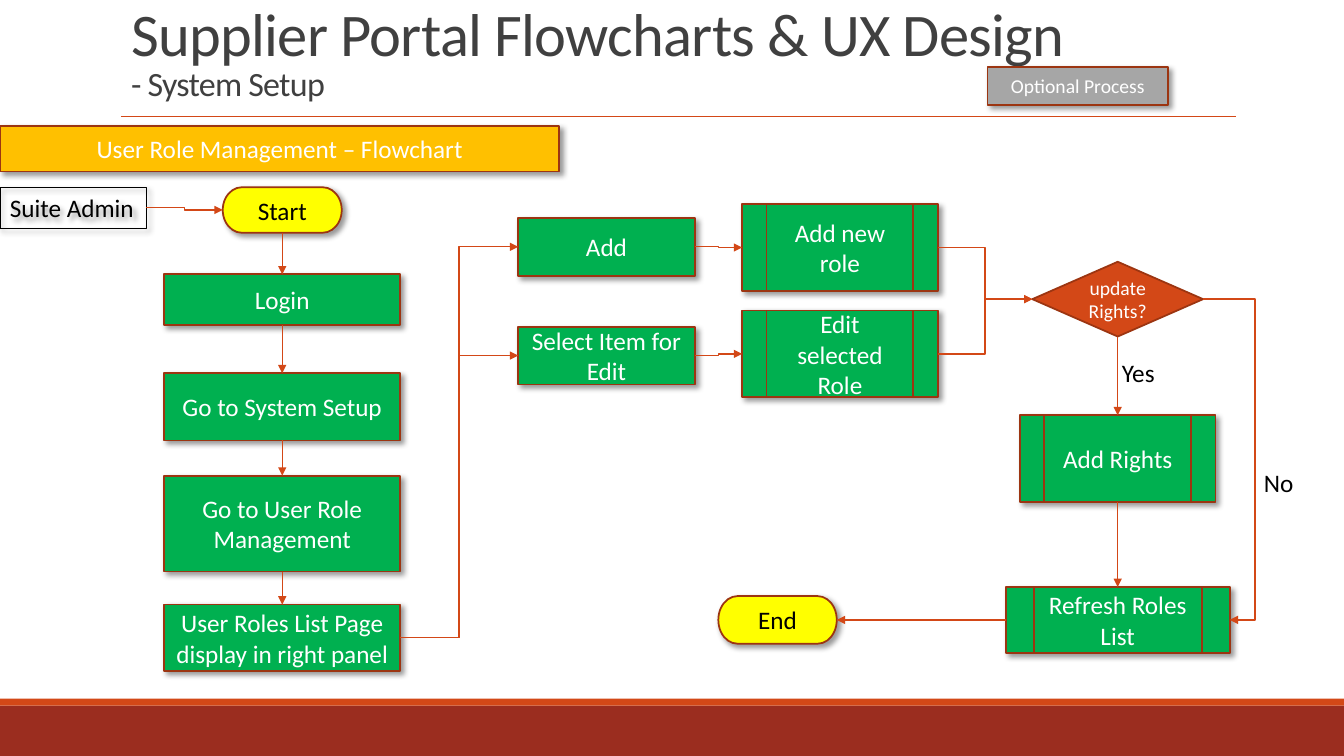
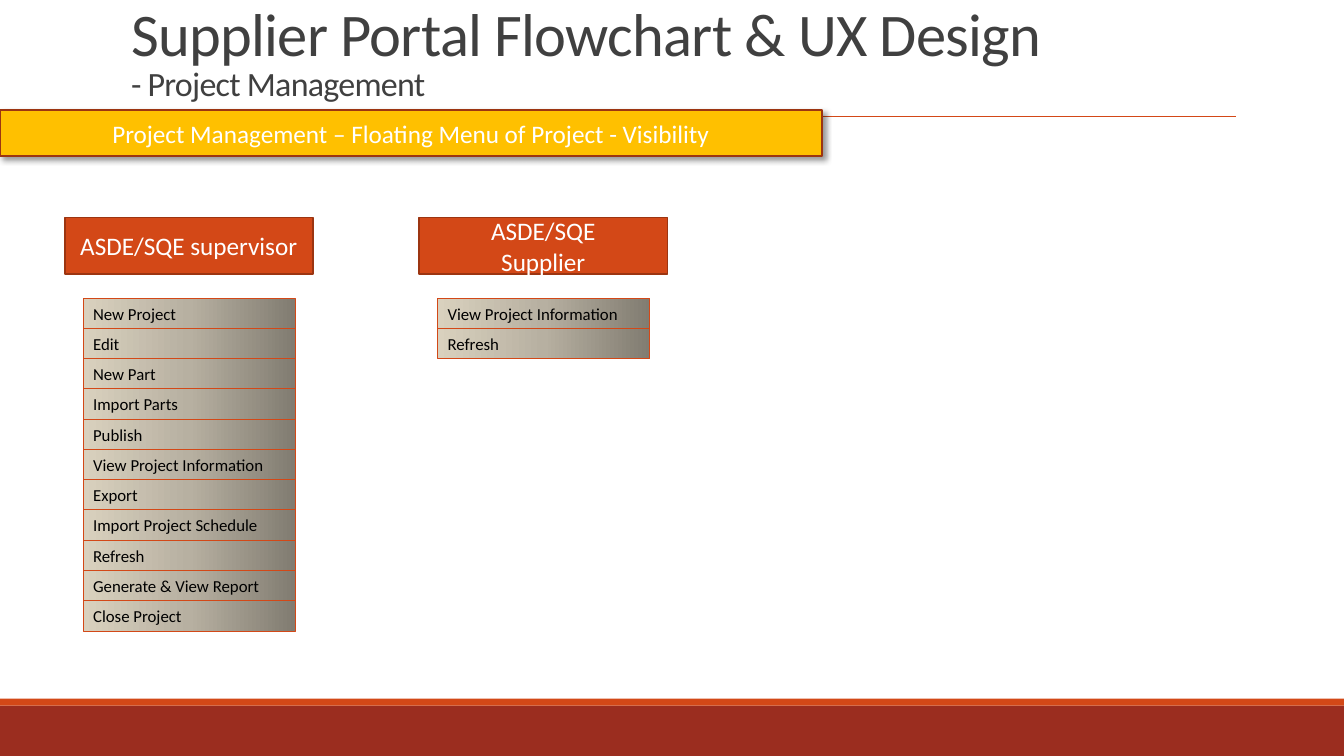
import copy

import pptx
import pptx.dml.color
import pptx.enum.shapes
import pptx.enum.text
import pptx.oxml
import pptx.oxml.ns
import pptx.util

Pt = pptx.util.Pt
RGB = pptx.dml.color.RGBColor
SHAPE = pptx.enum.shapes.MSO_SHAPE
CONNECTOR = pptx.enum.shapes.MSO_CONNECTOR
ALIGN = pptx.enum.text.PP_ALIGN
AUTO_SIZE = pptx.enum.text.MSO_AUTO_SIZE
ANCHOR = pptx.enum.text.MSO_ANCHOR
qn = pptx.oxml.ns.qn

ORANGE = RGB(0xD3, 0x48, 0x17)
RUST = RGB(0x9C, 0x35, 0x11)
BRICK = RGB(0x9B, 0x2D, 0x1F)
AMBER = RGB(0xFF, 0xC0, 0x00)
YELLOW = RGB(0xFF, 0xFF, 0x00)
GREEN = RGB(0x00, 0xB0, 0x50)
GRAY = RGB(0xA6, 0xA6, 0xA6)
CHARCOAL = RGB(0x40, 0x40, 0x40)
BLACK = RGB(0, 0, 0)
WHITE = RGB(0xFF, 0xFF, 0xFF)
MENU_STOPS = [(0, RGB(0x81, 0x7C, 0x71)), (0.5, RGB(0xB7, 0xB0, 0xA1)),
              (1, RGB(0xD9, 0xD1, 0xBE))]

FONT = "Calibri"
TOP, LEFT, BOTTOM, RIGHT = range(4)
SHADOW = (
    '<a:outerShdw xmlns:a="http://schemas.openxmlformats.org/drawingml/2006/main"'
    ' blurRad="50800" dist="38100" dir="2700000" algn="tl" rotWithShape="0">'
    '<a:srgbClr val="000000"><a:alpha val="40000"/></a:srgbClr></a:outerShdw>'
)


def add_block(shapes, text, box, fill, kind=SHAPE.RECTANGLE, color=WHITE,
              size=18, shadow=True, border=RUST, border_width=1.25, align=ALIGN.CENTER):
    """Add a labelled shape; box is left, top, width, height; fill None is a text box."""
    frame = [Pt(length) for length in box]
    if fill is None:
        block = shapes.add_textbox(*frame)
        block.text_frame.word_wrap = False
        block.text_frame.auto_size = AUTO_SIZE.SHAPE_TO_FIT_TEXT
    else:
        block = shapes.add_shape(kind, *frame)
        block.fill.solid()
        block.fill.fore_color.rgb = fill
    if border is None:
        block.line.fill.background()
    else:
        block.line.color.rgb = border
        block.line.width = Pt(border_width)
    block.shadow.inherit = False
    if shadow:
        effects = block.element.spPr.find(qn("a:effectLst"))
        effects.append(pptx.oxml.parse_xml(SHADOW))
    block.text_frame.text = text
    for paragraph in block.text_frame.paragraphs:
        paragraph.alignment = align
        for run in paragraph.runs:
            run.font.name = FONT
            run.font.size = Pt(size)
            run.font.color.rgb = color
    return block


def add_line(shapes, kind, start=(0, 0), end=(0, 0), arrow=False):
    line = shapes.add_connector(kind, *[Pt(v) for v in (*start, *end)])
    line.line.color.rgb = ORANGE
    line.line.width = Pt(1)
    properties = line.element.spPr
    if arrow:
        head = properties.find(qn("a:ln")).makeelement(qn("a:tailEnd"), {"type": "triangle"})
        properties.find(qn("a:ln")).append(head)
    properties.append(properties.makeelement(qn("a:effectLst"), {}))
    return line


deck = pptx.Presentation()
deck.slide_width, deck.slide_height = Pt(960), Pt(540)

# Shared layout: title place, footer bands and the rule under the title
layout = deck.slide_layouts[5]
for placeholder in list(layout.placeholders):
    if placeholder.placeholder_format.idx != 0:
        placeholder.element.getparent().remove(placeholder.element)
layout_title = layout.placeholders[0]
layout_title.left, layout_title.top = Pt(86.4), Pt(19.6)
layout_title.width, layout_title.height = Pt(792), Pt(58)

flow_slide = deck.slides.add_slide(layout)
menu_slide = deck.slides.add_slide(layout)
shared_parts = [
    add_block(flow_slide.shapes, "", (0, 504, 960, 36), BRICK, border=None, shadow=False),
    add_block(flow_slide.shapes, "", (0, 499, 960, 5), ORANGE, border=None, shadow=False),
    add_line(flow_slide.shapes, CONNECTOR.STRAIGHT, (86.4, 83), (882.7, 83)),
]
for part in shared_parts:
    layout.shapes.element.append(part.element)

for slide, heading, section, banner, banner_top, banner_width in [
    (flow_slide, "Supplier Portal Flowcharts & UX Design", "- System Setup",
     "User Role Management – Flowchart", 90, 399.5),
    (menu_slide, "Supplier Portal Flowchart & UX Design", "- Project Management",
     "Project Management – Floating Menu of Project - Visibility", 78.8, 587),
]:
    title_frame = slide.shapes.title.text_frame
    title_frame.text = f"{heading}\v{section}"
    title_frame.auto_size = AUTO_SIZE.NONE
    title_frame.vertical_anchor = ANCHOR.BOTTOM
    title_line = title_frame.paragraphs[0]
    title_line.alignment = ALIGN.LEFT
    title_line.line_spacing = 0.85
    for run, size in zip(title_line.runs, (43.2, 24.3)):
        run.font.name = FONT
        run.font.size = Pt(size)
        run.font.color.rgb = CHARCOAL
        run.font.element.set("spc", "-50") if hasattr(run.font, "element") else \
            run.font._element.set("spc", "-50")
    add_block(slide.shapes, banner, (0, banner_top, banner_width, 32.5), AMBER)

# Slide 1: flowchart, each step given by its centre and size
STEP = (SHAPE.FLOWCHART_PROCESS, GREEN, WHITE)
ROUTINE = (SHAPE.FLOWCHART_PREDEFINED_PROCESS, GREEN, WHITE)
TERMINAL = (SHAPE.FLOWCHART_TERMINATOR, YELLOW, BLACK)
LOGIN_X, CHOICE_X, ROLE_X, RIGHTS_X = 201.6, 433.2, 600, 798.4
steps = {}
for name, text, (kind, fill, color), center_x, center_y, width, height in [
    ("start", "Start", TERMINAL, LOGIN_X, 150, 85, 32.5),
    ("login", "Login", STEP, LOGIN_X, 214, 168.5, 36),
    ("setup", "Go to System Setup", STEP, LOGIN_X, 290.6, 168.5, 48),
    ("roles", "Go to User Role Management", STEP, LOGIN_X, 374, 168.5, 68.5),
    ("list", "User Roles List Page display in right panel", STEP, LOGIN_X, 455.6, 168.5, 47.5),
    ("add", "Add", STEP, CHOICE_X, 176.3, 126, 41.2),
    ("select", "Select Item for Edit", STEP, CHOICE_X, 254, 126, 41.2),
    ("new role", "Add new role", ROUTINE, ROLE_X, 176.8, 139.8, 62),
    ("edit role", "Edit selected Role", ROUTINE, ROLE_X, 252.8, 139.8, 62),
    ("rights", "Add Rights", ROUTINE, RIGHTS_X, 327.6, 139.8, 62),
    ("refresh", "Refresh Roles List", ROUTINE, RIGHTS_X, 442.8, 160, 47),
    ("end", "End", TERMINAL, 555.4, 442.8, 84.6, 34),
]:
    box = (center_x - width / 2, center_y - height / 2, width, height)
    steps[name] = add_block(flow_slide.shapes, text, box, fill, kind, color)
steps["update"] = add_block(flow_slide.shapes, "update Rights?",
                            (RIGHTS_X - 61, 187, 122, 53.4), ORANGE,
                            SHAPE.FLOWCHART_DECISION, size=14, shadow=False)
steps["admin"] = add_block(flow_slide.shapes, "Suite Admin", (0, 133.9, 104.4, 29), None,
                           color=BLACK, border=BLACK, border_width=0.75, align=ALIGN.LEFT)
add_block(flow_slide.shapes, "Optional Process", (705.4, 47.8, 129, 27.5), GRAY,
          SHAPE.FLOWCHART_PROCESS, size=14)

for source, source_side, target, target_side in [
    ("admin", RIGHT, "start", LEFT),
    ("start", BOTTOM, "login", TOP),
    ("login", BOTTOM, "setup", TOP),
    ("setup", BOTTOM, "roles", TOP),
    ("roles", BOTTOM, "list", TOP),
    ("list", RIGHT, "add", LEFT),
    ("list", RIGHT, "select", LEFT),
    ("add", RIGHT, "new role", LEFT),
    ("select", RIGHT, "edit role", LEFT),
    ("new role", RIGHT, "update", LEFT),
    ("edit role", RIGHT, "update", LEFT),
    ("update", BOTTOM, "rights", TOP),
    ("rights", BOTTOM, "refresh", TOP),
    ("refresh", LEFT, "end", RIGHT),
    ("update", RIGHT, "refresh", RIGHT),
]:
    straight = source_side == BOTTOM or target == "end"
    link = add_line(flow_slide.shapes,
                    CONNECTOR.STRAIGHT if straight else CONNECTOR.ELBOW, arrow=True)
    link.begin_connect(steps[source], source_side)
    link.end_connect(steps[target], target_side)
    if source_side == target_side:
        # The bend lies beyond both ends, 37 pt right of the decision
        bend = round(Pt(37) / link.width * 100000)
        adjustments = link.element.spPr.find(qn("a:prstGeom")).get_or_add_avLst()
        adjustments.append(adjustments.makeelement(
            qn("a:gd"), {"name": "adj1", "fmla": f"val {bend}"}))

for answer, left, top, width in [("Yes", 794.2, 252, 38), ("No", 895.7, 330, 36)]:
    add_block(flow_slide.shapes, answer, (left, top, width, 29), None, color=BLACK,
              shadow=False, border=None, align=ALIGN.LEFT)

# Slide 2: one floating menu per role
MENU_TOP, ITEM_PITCH = 213, 21.6
for role, left, items in [
    ("ASDE/SQE supervisor", 46.2,
     ["New Project", "Edit", "New Part", "Import Parts", "Publish",
      "View Project Information", "Export", "Import Project Schedule", "Refresh",
      "Generate & View Report", "Close Project"]),
    ("ASDE/SQE\nSupplier", 299.4, ["View Project Information", "Refresh"]),
]:
    add_block(menu_slide.shapes, role, (left, 155.4, 177.4, 40.4), ORANGE, shadow=False)
    menu = menu_slide.shapes.add_group_shape()
    for row, item in enumerate(items):
        entry = add_block(menu.shapes, item,
                          (left + 13.2, MENU_TOP + row * ITEM_PITCH, 151.4, 21.8), WHITE,
                          color=BLACK, size=12, shadow=False, border=ORANGE,
                          border_width=0.75, align=ALIGN.LEFT)
        entry.fill.gradient()
        entry.fill.gradient_angle = 180
        stop_list = entry.element.spPr.find(qn("a:gradFill")).find(qn("a:gsLst"))
        stop_list.insert(1, copy.deepcopy(stop_list[0]))
        for stop, (position, color) in zip(entry.fill.gradient_stops, MENU_STOPS):
            stop.position = position
            stop.color.rgb = color

deck.save("out.pptx")
